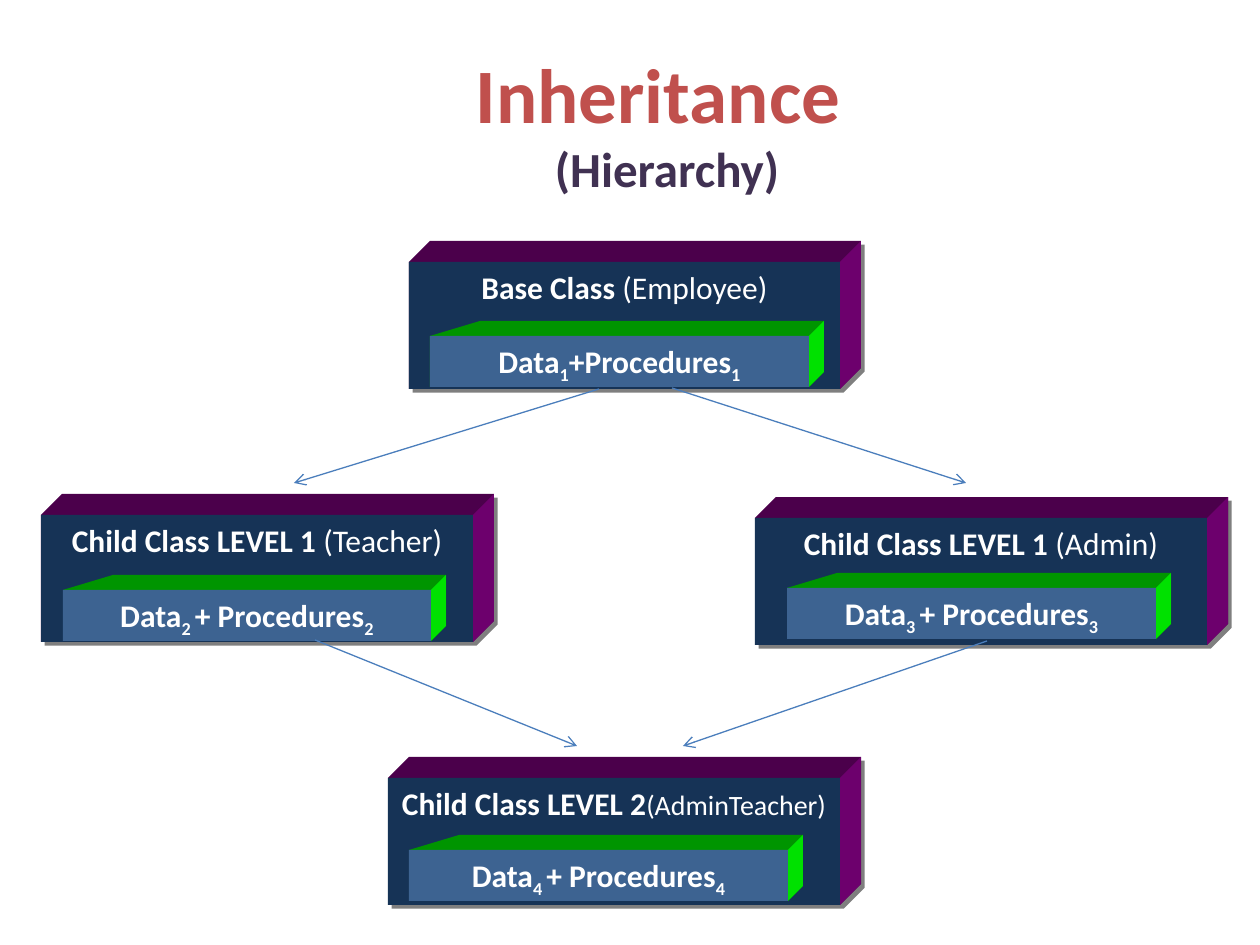
from lxml.etree import SubElement
from pptx import Presentation
from pptx.dml.color import RGBColor
from pptx.enum.shapes import MSO_CONNECTOR, MSO_SHAPE
from pptx.enum.text import MSO_ANCHOR, PP_ALIGN
from pptx.oxml.ns import qn
from pptx.util import Pt

SCALE = 914400 / 126
FONT = "Calibri"
WHITE = RGBColor(0xFF, 0xFF, 0xFF)
RED = RGBColor(0xC0, 0x50, 0x4D)
PURPLE = RGBColor(0x40, 0x31, 0x52)
NAVY = RGBColor(0x16, 0x33, 0x56)
PLUM = RGBColor(0x4B, 0x00, 0x4B)
MAGENTA = RGBColor(0x6D, 0x00, 0x6D)
STEEL = RGBColor(0x3D, 0x63, 0x91)
GREEN = RGBColor(0x00, 0x95, 0x00)
LIME = RGBColor(0x00, 0xE1, 0x00)
ARROW = RGBColor(0x4B, 0x7E, 0xBC)

CLASS_HEIGHT, DATA_HEIGHT = 127, 51


def px(*lengths):
    return [round(n * SCALE) for n in lengths]


def paint(sp, color):
    sp.shadow.inherit = False
    sp.fill.solid()
    sp.fill.fore_color.rgb = color
    sp.line.fill.background()


def add_polygon(s, points, color):
    builder = s.shapes.build_freeform(*points[0], scale=SCALE)
    builder.add_line_segments(points[1:], close=True)
    sp = builder.convert_to_shape()
    paint(sp, color)
    return sp


def add_shadow(sp):
    effects = sp._element.spPr.find(qn("a:effectLst"))
    shadow = SubElement(effects, qn("a:outerShdw"), dist=str(Pt(3)), dir="2700000")
    color = SubElement(shadow, qn("a:srgbClr"), val="000000")
    SubElement(color, qn("a:alpha"), val="50000")


def add_run(p, text, size, color, bold=True, baseline=0):
    r = p.add_run()
    r.text = text
    r.font.name = FONT
    r.font.size = Pt(size)
    r.font.bold = bold
    r.font.color.rgb = color
    if baseline:
        r._r.get_or_add_rPr().set("baseline", str(baseline))


def add_block(s, x, y, w, h, depth, colors, shadow=False):
    slant, dx, dy = depth
    front, top, side = colors
    right, bottom = x + w, y + h
    outline = [(x, y), (x + slant, y - dy), (right + dx, y - dy),
               (right + dx, bottom - dy), (right, bottom), (x, bottom)]
    back = add_polygon(s, outline, top)
    if shadow:
        add_shadow(back)
    add_polygon(s, [(right, y), *outline[2:5]], side)
    sp = s.shapes.add_shape(MSO_SHAPE.RECTANGLE, *px(x, y, w, h))
    paint(sp, front)
    tf = sp.text_frame
    tf.word_wrap = False
    tf.vertical_anchor = MSO_ANCHOR.TOP
    p = tf.paragraphs[0]
    p.alignment = PP_ALIGN.CENTER
    return p


def add_class(s, box, data_box, level, role, role_size, number, plus):
    x, y, w = box
    p = add_block(s, x, y, w, CLASS_HEIGHT, (21, 21, 21),
                  (NAVY, PLUM, MAGENTA), shadow=True)
    add_run(p, level, 18, WHITE)
    add_run(p, role, role_size, WHITE, bold=False)

    dx, dy, data_w = data_box
    p = add_block(s, x + dx, y + dy, data_w, DATA_HEIGHT, (50, 15, 15),
                  (STEEL, GREEN, LIME))
    gap = " " if plus.startswith("+ ") else ""
    add_run(p, "Data", 18, WHITE)
    add_run(p, number + gap, 18, WHITE, baseline=-25000)
    add_run(p, plus, 18, WHITE)
    add_run(p, number, 18, WHITE, baseline=-25000)


def add_arrow(s, x1, y1, x2, y2):
    line = s.shapes.add_connector(MSO_CONNECTOR.STRAIGHT, *px(x1, y1, x2, y2))
    line.line.color.rgb = ARROW
    line.line.width = Pt(0.75)
    SubElement(line.line._get_or_add_ln(), qn("a:tailEnd"), type="arrow")
    SubElement(line._element.spPr, qn("a:effectLst"))


def add_title(s, x, y, w, h):
    tf = s.shapes.add_textbox(*px(x, y, w, h)).text_frame
    tf.word_wrap = True
    tf.vertical_anchor = MSO_ANCHOR.MIDDLE
    lines = [("Inheritance ", 44, RED), ("(Hierarchy)", 28, PURPLE)]
    for p, line in zip((tf.paragraphs[0], tf.add_paragraph()), lines):
        p.alignment = PP_ALIGN.CENTER
        add_run(p, *line)


def main():
    prs = Presentation()
    prs.slide_width, prs.slide_height = px(1260, 945)
    s = prs.slides.add_slide(prs.slide_layouts[6])
    classes = [
        ((755, 518, 452), (32, 70, 369), "Child Class LEVEL 1 ", "(Admin)", 18, "3", "+ Procedures"),
        ((41, 515, 432), (22, 75, 368), "Child Class LEVEL 1 ", "(Teacher)", 18, "2", "+ Procedures"),
        ((388, 778, 452), (21, 72, 379), "Child Class LEVEL 2", "(AdminTeacher)", 16, "4", "+ Procedures"),
        ((409, 262, 431), (21, 74, 379), "Base Class ", "(Employee)", 18, "1", "+Procedures"),
    ]
    for item in classes:
        add_class(s, *item)
    for ends in [(599, 389, 294, 483), (672, 388, 966, 483),
                 (315, 640, 577, 746), (987, 641, 683, 746)]:
        add_arrow(s, *ends)
    add_title(s, 242, 34, 850, 176)
    prs.save("out.pptx")


if __name__ == "__main__":
    main()
